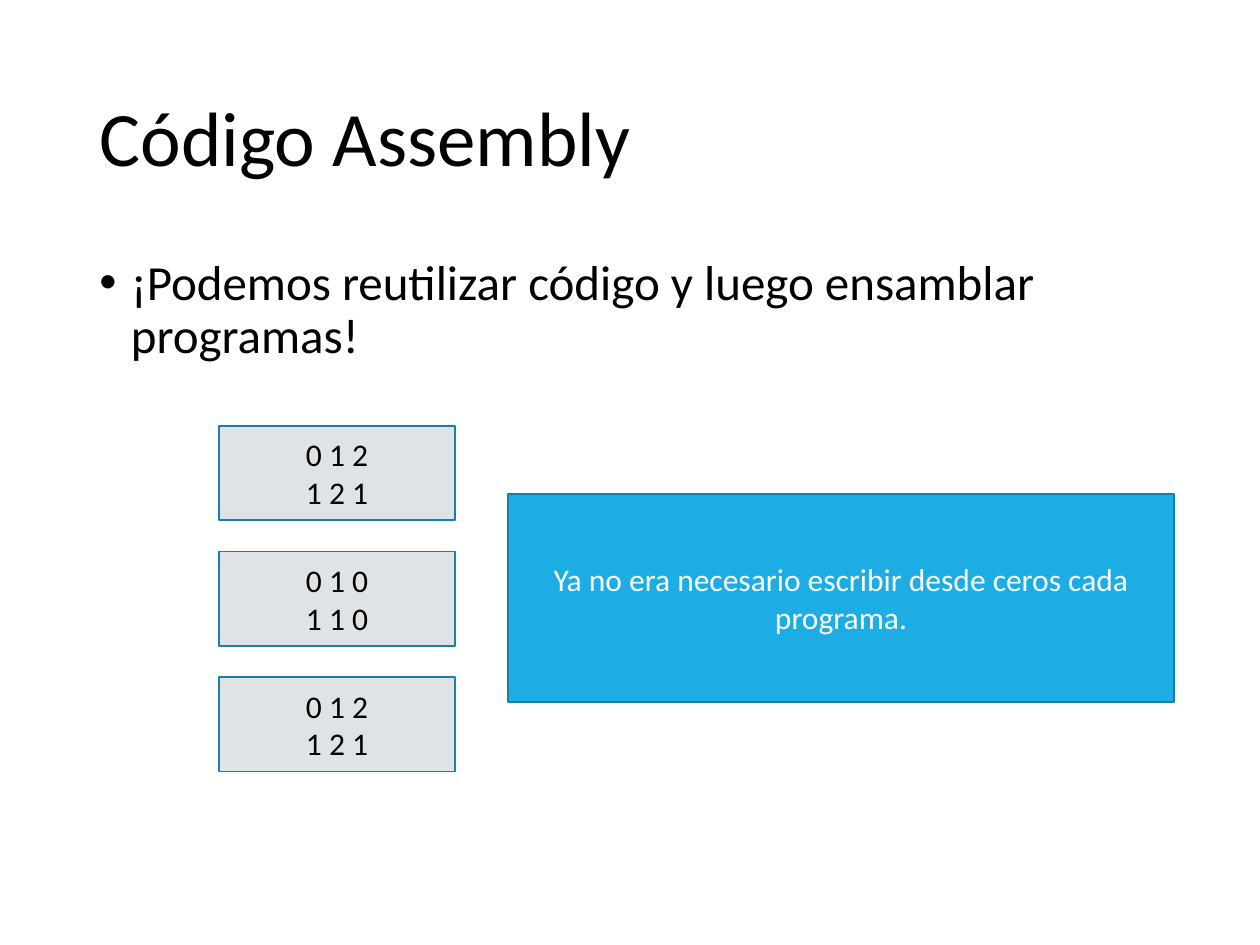
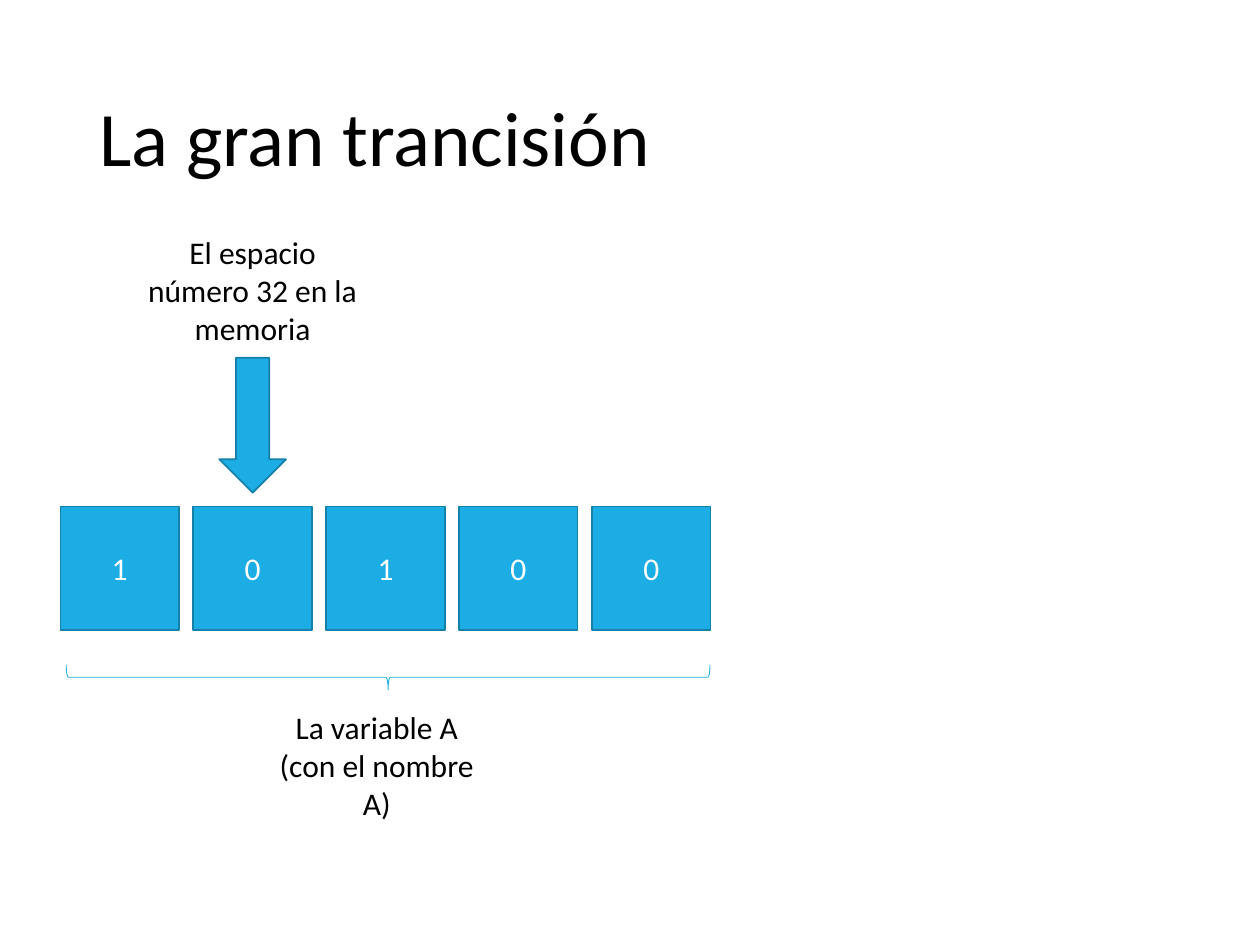
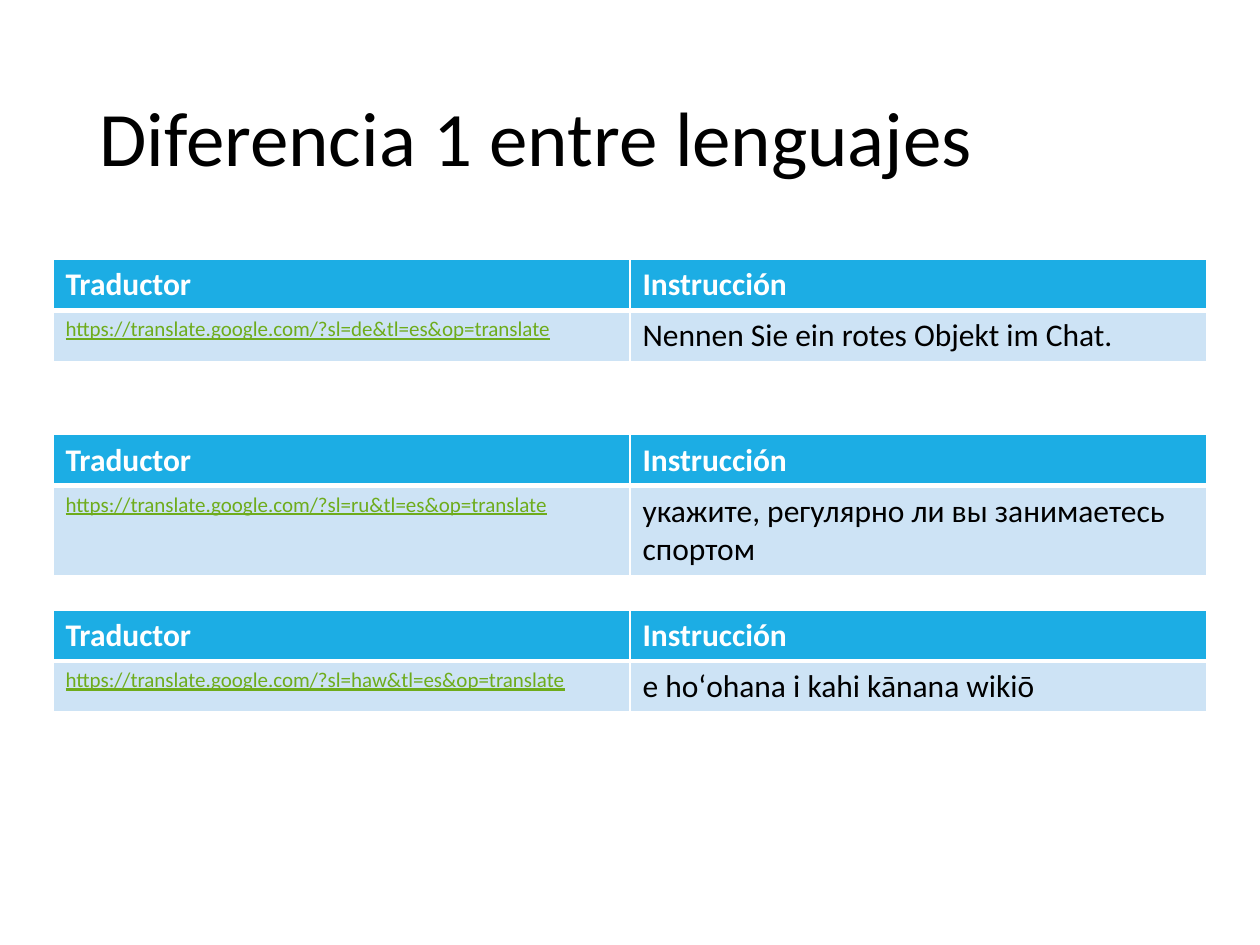
from typing import NamedTuple

from lxml.etree import SubElement
from pptx import Presentation
from pptx.dml.color import RGBColor
from pptx.enum.shapes import MSO_SHAPE as Kind
from pptx.enum.text import MSO_ANCHOR as Anchor, MSO_AUTO_SIZE as Fit, PP_ALIGN as Align
from pptx.oxml.ns import qn
from pptx.util import Inches, Pt

FONT = "Calibri"
BLACK, WHITE = "000000", "FFFFFF"
BLUE, EDGE, GREY = "1CADE4", "1580A9", "DFE3E5"
PALE, GREEN = "CDE3F5", "6EAC1C"
UNIT = Inches(10) // 100  # the slide is a grid of 100 columns by 75 rows


class Box(NamedTuple):
    col: float
    row: float
    wide: float
    high: float

    def place(self) -> tuple:
        return tuple(round(side * UNIT) for side in self)


class Phrase(NamedTuple):
    link: str
    text: str


TITLE = Box(6.9, 4, 86.2, 14.5)
BODY = Box(6.9, 20, 86.2, 47.6)
CODES = ["0 1 2\n1 2 1", "0 1 0\n1 1 0", "0 1 2\n1 2 1"]
BITS = "10100"
PHRASES = [
    Phrase("https://translate.google.com/?sl=de&tl=es&op=translate",
           "Nennen Sie ein rotes Objekt im Chat."),
    Phrase("https://translate.google.com/?sl=ru&tl=es&op=translate",
           "укажите, регулярно ли вы занимаетесь спортом"),
    Phrase("https://translate.google.com/?sl=haw&tl=es&op=translate",
           "e hoʻohana i kahi kānana wikiō"),
]


def color(code: str) -> RGBColor:
    return RGBColor.from_string(code)


def write(frame, text: str, tint: str = BLACK, size: float = 18, align=Align.LEFT,
          bold: bool = False, line: bool = False) -> None:
    frame.text = text
    frame.word_wrap = True
    for para in frame.paragraphs:
        para.alignment = align
        for run in para.runs:
            font = run.font
            font.name, font.size, font.bold = FONT, Pt(size), bold
            font.underline = line
            font.color.rgb = color(tint)


def add_page(deck, title: str):
    page = deck.slides.add_slide(deck.slide_layouts[5])
    head = page.shapes.title
    head.left, head.top, head.width, head.height = TITLE.place()
    frame = head.text_frame
    write(frame, title, size=44)
    frame.auto_size = Fit.NONE
    frame.vertical_anchor = Anchor.MIDDLE
    frame.paragraphs[0].line_spacing = 0.9
    return page


def add_form(page, kind: Kind, box: Box, fill: str = "", edge: str = EDGE,
             width: float = 1, turn: float = 0):
    form = page.shapes.add_shape(kind, *box.place())
    form.shadow.inherit = False
    form.rotation = turn
    if fill:
        form.fill.solid()
        form.fill.fore_color.rgb = color(fill)
    else:
        form.fill.background()
    form.line.color.rgb = color(edge)
    form.line.width = Pt(width)
    return form


def add_block(page, box: Box, text: str, fill: str = BLUE, tint: str = WHITE) -> None:
    frame = add_form(page, Kind.RECTANGLE, box, fill).text_frame
    write(frame, text, tint, align=Align.CENTER)
    frame.vertical_anchor = Anchor.MIDDLE


def add_note(page, box: Box, text: str) -> None:
    frame = page.shapes.add_textbox(*box.place()).text_frame
    write(frame, text, align=Align.CENTER)
    frame.auto_size = Fit.SHAPE_TO_FIT_TEXT


def add_point(page, text: str) -> None:
    """Add the bulleted main text of a page."""
    frame = page.shapes.add_textbox(*BODY.place()).text_frame
    write(frame, text, size=28)
    para = frame.paragraphs[0]
    para.line_spacing = 0.9
    props = para._p.get_or_add_pPr()
    props.set("marL", str(Inches(0.25)))
    props.set("indent", str(-Inches(0.25)))
    SubElement(props, qn("a:buFont"), typeface="Arial")
    SubElement(props, qn("a:buChar"), char="•")


def add_rule(cell, side: str, width: float) -> None:
    """Draw a white border on one side of a cell that has no fill yet."""
    line = SubElement(cell._tc.get_or_add_tcPr(), qn(f"a:{side}"), w=str(Pt(width)))
    SubElement(SubElement(line, qn("a:solidFill")), qn("a:srgbClr"), val=WHITE)


def add_grid(page, box: Box, phrase: Phrase) -> None:
    grid = page.shapes.add_table(2, 2, *box.place()).table
    for col, name in enumerate(("Traductor", "Instrucción")):
        write(grid.cell(0, col).text_frame, name, WHITE, bold=True)
        add_rule(grid.cell(0, col), "lnB", 3)
        add_rule(grid.cell(1, col), "lnT", 3)
    write(grid.cell(1, 0).text_frame, phrase.link, GREEN, 12, line=True)
    write(grid.cell(1, 1).text_frame, phrase.text)
    for row, fill in enumerate((BLUE, PALE)):
        for cell in grid.rows[row].cells:
            cell.fill.solid()
            cell.fill.fore_color.rgb = color(fill)


def draw_code(deck) -> None:
    page = add_page(deck, "Código Assembly")
    add_point(page, "¡Podemos reutilizar código y luego ensamblar programas!")
    for step, code in enumerate(CODES):
        add_block(page, Box(17.4, 33.8 + 9.97 * step, 18.7, 7.5), code, GREY, BLACK)
    add_block(page, Box(40.3, 39.2, 52.9, 16.5),
              "Ya no era necesario escribir desde ceros cada programa.")


def draw_shift(deck) -> None:
    page = add_page(deck, "La gran trancisión")
    for step, bit in enumerate(BITS):
        add_block(page, Box(4.8 + 10.55 * step, 40.2, 9.4, 9.8), bit)
    add_note(page, Box(10.4, 18, 19.3, 10.1), "El espacio número 32 en la memoria")
    add_form(page, Kind.UP_ARROW, Box(17.4, 28.4, 5.3, 10.7), BLUE, turn=180)
    add_note(page, Box(20, 55.7, 19.8, 7.1), "La variable A (con el nombre A)")
    add_form(page, Kind.RIGHT_BRACE, Box(29.8, 28.2, 2, 51.1), edge=BLUE,
             width=0.5, turn=90)


def draw_tongues(deck) -> None:
    page = add_page(deck, "Diferencia 1 entre lenguajes")
    for step, phrase in enumerate(PHRASES):
        add_grid(page, Box(4.2, 20.6 + 13.9 * step, 91.6, 8.1), phrase)


def main() -> None:
    deck = Presentation()
    deck.slide_width, deck.slide_height = 100 * UNIT, 75 * UNIT
    for draw in (draw_code, draw_shift, draw_tongues):
        draw(deck)
    deck.save("out.pptx")


if __name__ == "__main__":
    main()
